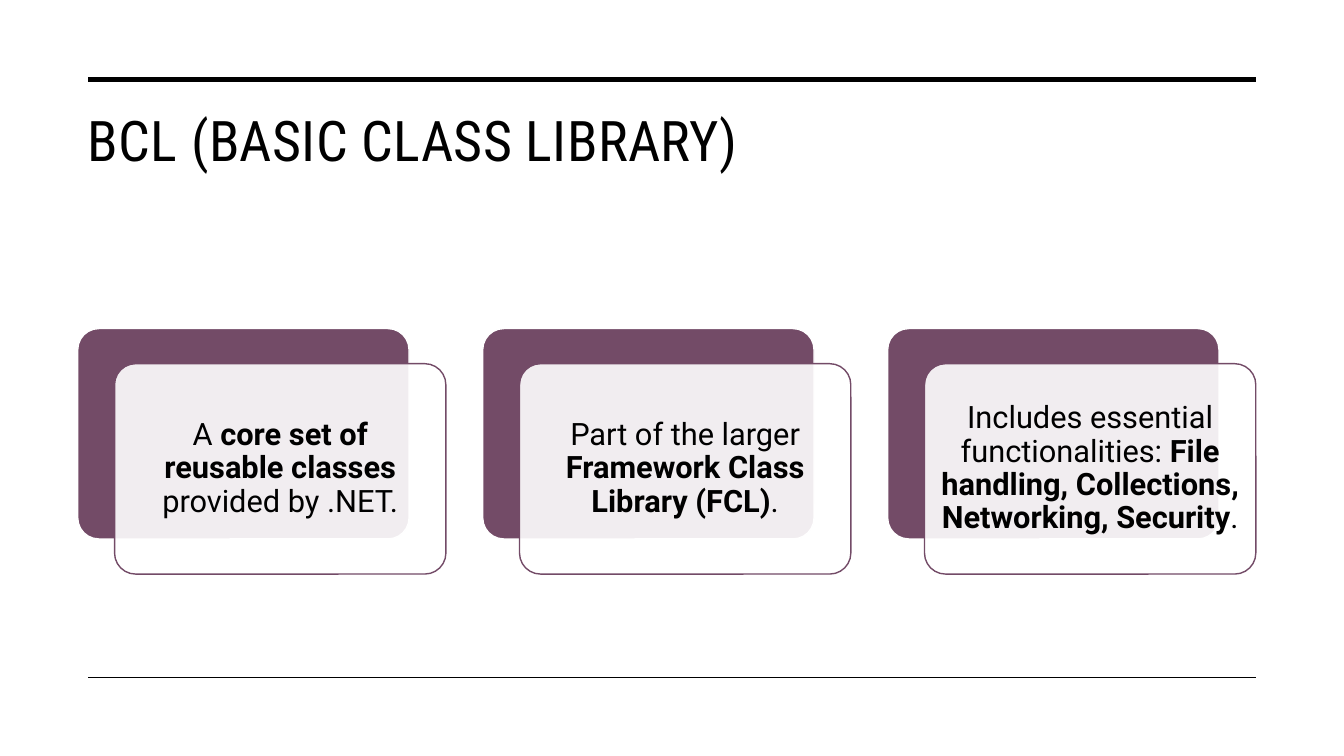
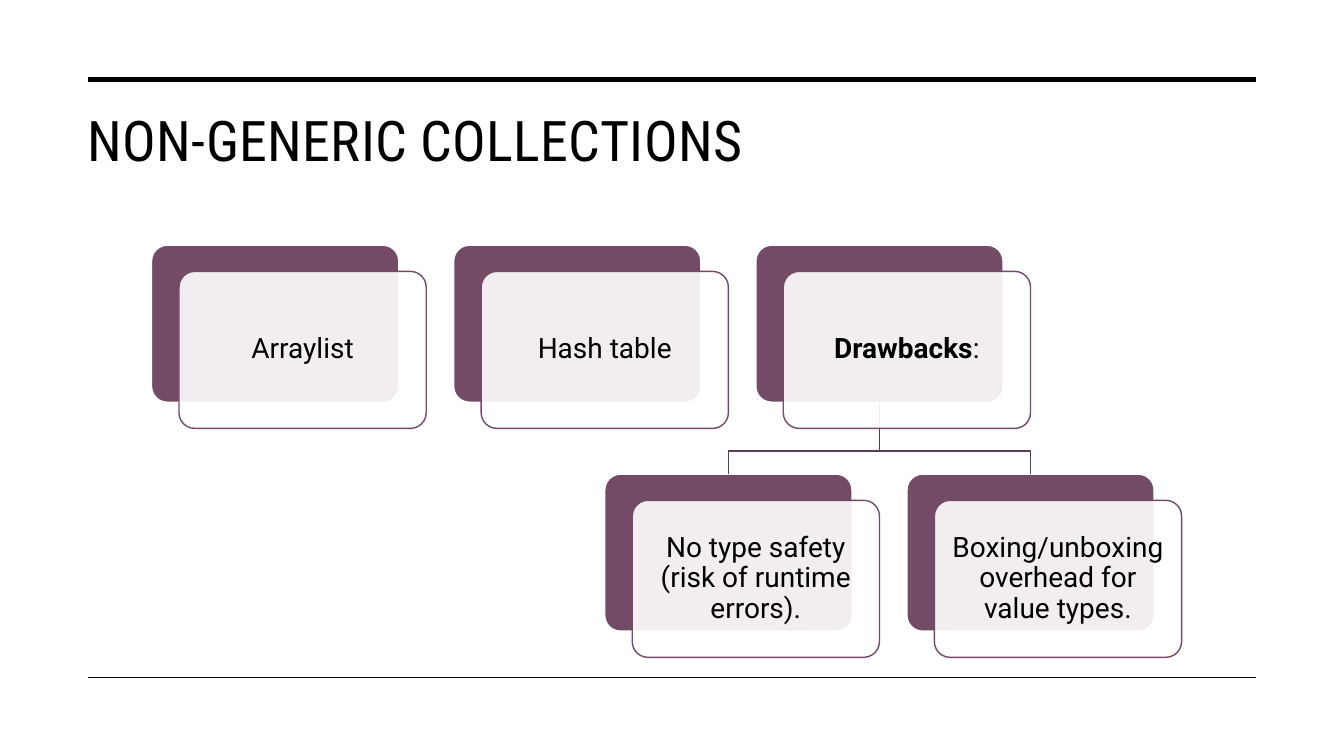
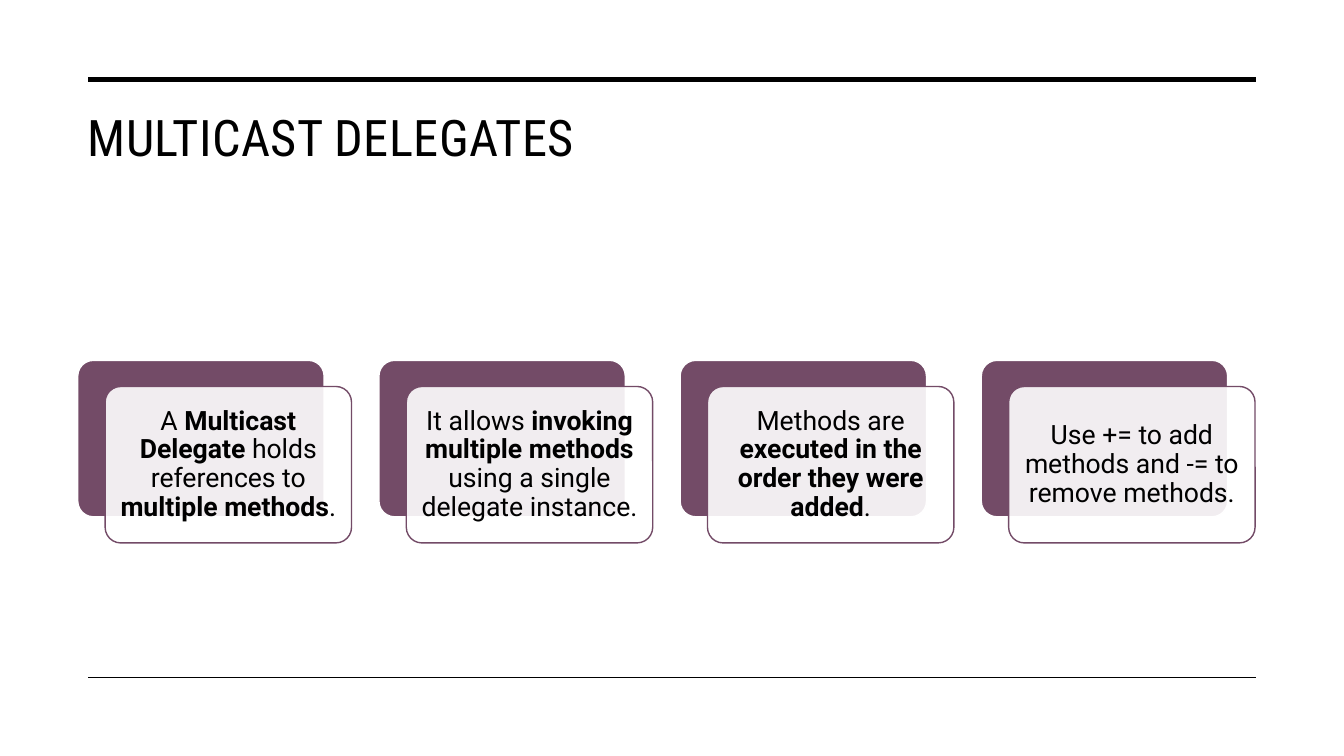
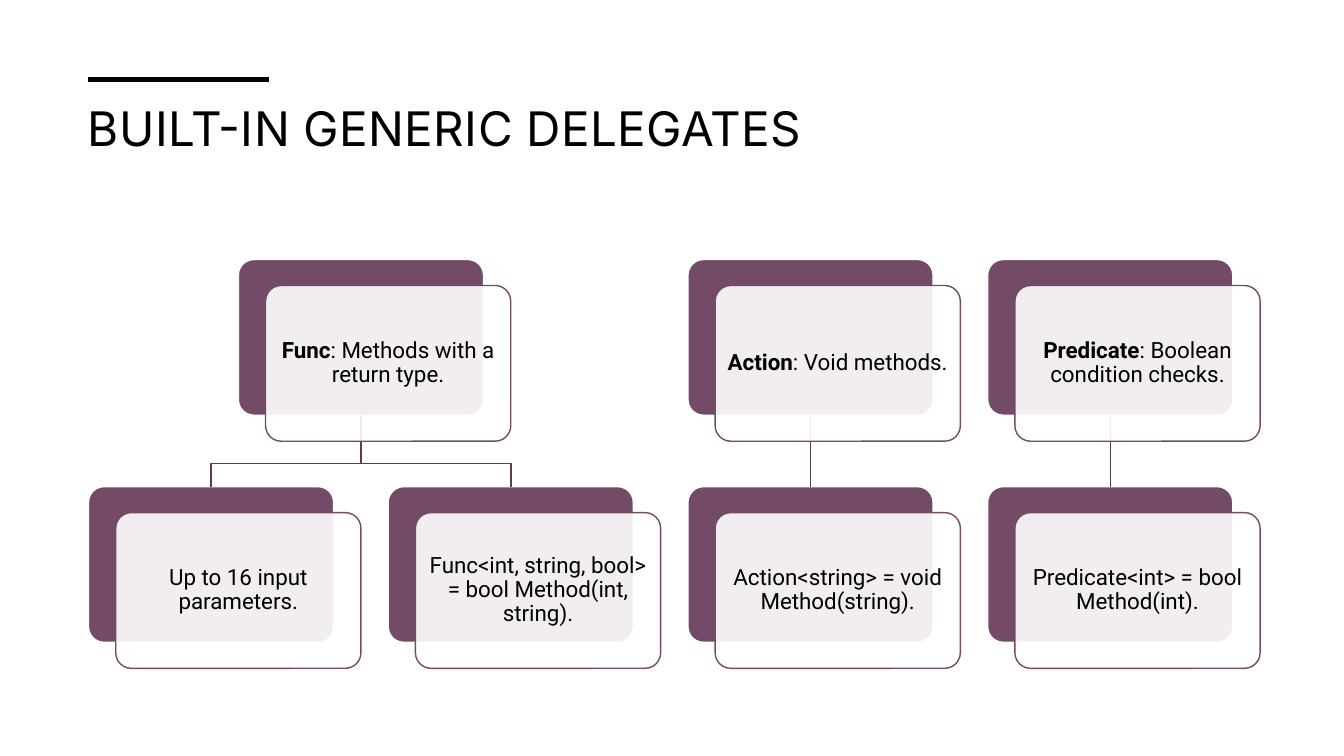
from lxml import etree
from pptx import Presentation
from pptx import util as u
from pptx.dml.color import RGBColor
from pptx.enum import shapes, text
from pptx.oxml import ns

HUES = {"ink": "000000", "paper": "FFFFFF", "plum": "734B67", "link": "5C3C52"}
EDGE = 2.23           # left end of the rules, in cm
WIDE = 29.42          # length of a full rule
# Card parts as shares of the card's width
TALL, SHIFT, DROP = 0.635, 1 / 9, 0.106
PITCH, STEP = 11 / 9, 0.926
BEND = 0.68           # where a branch turns, as a share of its drop


def hue(name):
    return RGBColor.from_string(HUES[name])


def write(frame, words, size, font="Roboto", align=text.PP_ALIGN.CENTER,
          anchor=text.MSO_ANCHOR.MIDDLE, lead=0.9, track=0, inset=None):
    """Fill a text frame; parts between ** marks are bold."""
    frame.word_wrap = True
    frame.auto_size = text.MSO_AUTO_SIZE.NONE
    frame.vertical_anchor = anchor
    if inset is not None:
        frame.margin_left = frame.margin_right = inset
        frame.margin_top = frame.margin_bottom = inset
    para = frame.paragraphs[0]
    para.alignment = align
    para.line_spacing = lead
    for i, part in enumerate(words.split("**")):
        if not part:
            continue
        run = para.add_run()
        run.text = part
        run.font.name, run.font.size = font, u.Pt(size)
        run.font.bold = i % 2 == 1
        run.font.color.rgb = hue("ink")
        if track:
            run._r.get_or_add_rPr().set("spc", str(track))


def line(slide, start, end, color="ink", width=1):
    rule = slide.shapes.add_connector(shapes.MSO_CONNECTOR.STRAIGHT, *start, *end)
    rule.line.color.rgb = hue(color)
    rule.line.width = u.Pt(width)
    etree.SubElement(rule._element.spPr, ns.qn("a:effectLst"))
    return rule


def rule(slide, y, length, width):
    line(slide, (u.Cm(EDGE), u.Cm(y)), (u.Cm(EDGE + length), u.Cm(y)), width=width)


def start(deck, title, size, font="Roboto Condensed", lead=1.0, top=WIDE, foot=True):
    """Add a slide with its rules and title."""
    slide = deck.slides.add_slide(deck.slide_layouts[5])
    rule(slide, 2.01, top, 3.5)
    if foot:
        rule(slide, 17.07, WIDE, 1)
    head = slide.shapes.title
    head.left, head.top = u.Cm(1.96), u.Cm(2.54)
    head.width, head.height = u.Cm(29.7), u.Cm(3.3)
    write(head.text_frame, title, size, font=font, lead=lead, track=30,
          align=text.PP_ALIGN.LEFT, anchor=text.MSO_ANCHOR.TOP)
    return slide


def panel(slide, x, y, wide, fill, edge, alpha=None):
    box = slide.shapes.add_shape(shapes.MSO_SHAPE.ROUNDED_RECTANGLE, u.Cm(x), u.Cm(y),
                                 u.Cm(wide), u.Cm(wide * TALL))
    box.adjustments[0] = 0.1
    box.shadow.inherit = False
    box.fill.solid()
    box.fill.fore_color.rgb = hue(fill)
    box.line.color.rgb = hue(edge)
    box.line.width = u.Pt(1)
    if alpha:
        tint = box._element.spPr.find(ns.qn("a:solidFill"))[0]
        etree.SubElement(tint, ns.qn("a:alpha")).set("val", str(alpha * 1000))
    return box


def link(slide, upper, lower):
    """Join two panels: straight when in line, else with a bend."""
    x, y = upper.left + upper.width // 2, upper.top + upper.height
    end, low = lower.left + lower.width // 2, lower.top
    if abs(end - x) < u.Pt(1):
        rod = line(slide, (x, y), (end, low), "link")
        rod.begin_connect(upper, 2)
        rod.end_connect(lower, 0)
        return
    turn = y + int((low - y) * BEND)
    path = slide.shapes.build_freeform(x, y)
    path.add_line_segments([(x, turn), (end, turn), (end, low)], close=False)
    branch = path.convert_to_shape()
    branch.shadow.inherit = False
    branch.fill.background()
    branch.line.color.rgb = hue("link")
    branch.line.width = u.Pt(1)


def cards(slide, left, top, wide, size, items, links=()):
    """Place cards given as (column, row, words); links pair their indices."""
    spots = [(left + col * wide * PITCH, top + row * wide * STEP)
             for col, row, _ in items]
    backs = [panel(slide, x, y, wide, "plum", "paper") for x, y in spots]
    for upper, lower in links:
        link(slide, backs[upper], backs[lower])
    for (x, y), (_, _, words) in zip(spots, items):
        front = panel(slide, x + wide * SHIFT, y + wide * DROP, wide,
                      "paper", "plum", alpha=90)
        write(front.text_frame, words, size, inset=u.Pt(size * 0.3))


def main():
    deck = Presentation()
    deck.slide_width, deck.slide_height = u.Cm(33.87), u.Cm(19.05)

    slide = start(deck, "BCL (BASIC CLASS LIBRARY)", 40)
    cards(slide, 1.96, 8.28, 8.35, 22, [
        (0, 0, "A **core set of reusable classes** provided by .NET."),
        (1, 0, "Part of the larger **Framework Class Library (FCL)**."),
        (2, 0, "Includes essential functionalities: "
               "**File handling, Collections, Networking, Security**."),
    ])

    slide = start(deck, "NON-GENERIC COLLECTIONS", 40)
    cards(slide, 3.82, 6.18, 6.23, 20, [
        (0, 0, "Arraylist"),
        (1, 0, "Hash table"),
        (2, 0, "**Drawbacks**:"),
        (1.5, 1, "No type safety (risk of runtime errors)."),
        (2.5, 1, "Boxing/unboxing overhead for value types."),
    ], links=[(2, 3), (2, 4)])

    slide = start(deck, "MULTICAST DELEGATES", 36)
    cards(slide, 1.96, 9.08, 6.21, 19, [
        (0, 0, "A **Multicast Delegate** holds references to **multiple methods**."),
        (1, 0, "It allows **invoking multiple methods** using a single delegate instance."),
        (2, 0, "Methods are **executed in the order they were added**."),
        (3, 0, "Use += to add methods and -= to remove methods."),
    ])

    slide = start(deck, "BUILT-IN GENERIC DELEGATES", 34, font="Inter", lead=0.9,
                  top=4.55, foot=False)
    cards(slide, 2.23, 6.54, 6.18, 16, [
        (0.5, 0, "**Func**: Methods with a return type."),
        (2, 0, "**Action**: Void methods."),
        (3, 0, "**Predicate**: Boolean condition checks."),
        (0, 1, "Up to 16 input parameters."),
        (1, 1, "Func<int, string, bool> = bool Method(int, string)."),
        (2, 1, "Action<string> = void Method(string)."),
        (3, 1, "Predicate<int> = bool Method(int)."),
    ], links=[(0, 3), (0, 4), (1, 5), (2, 6)])

    deck.save("out.pptx")


if __name__ == "__main__":
    main()
